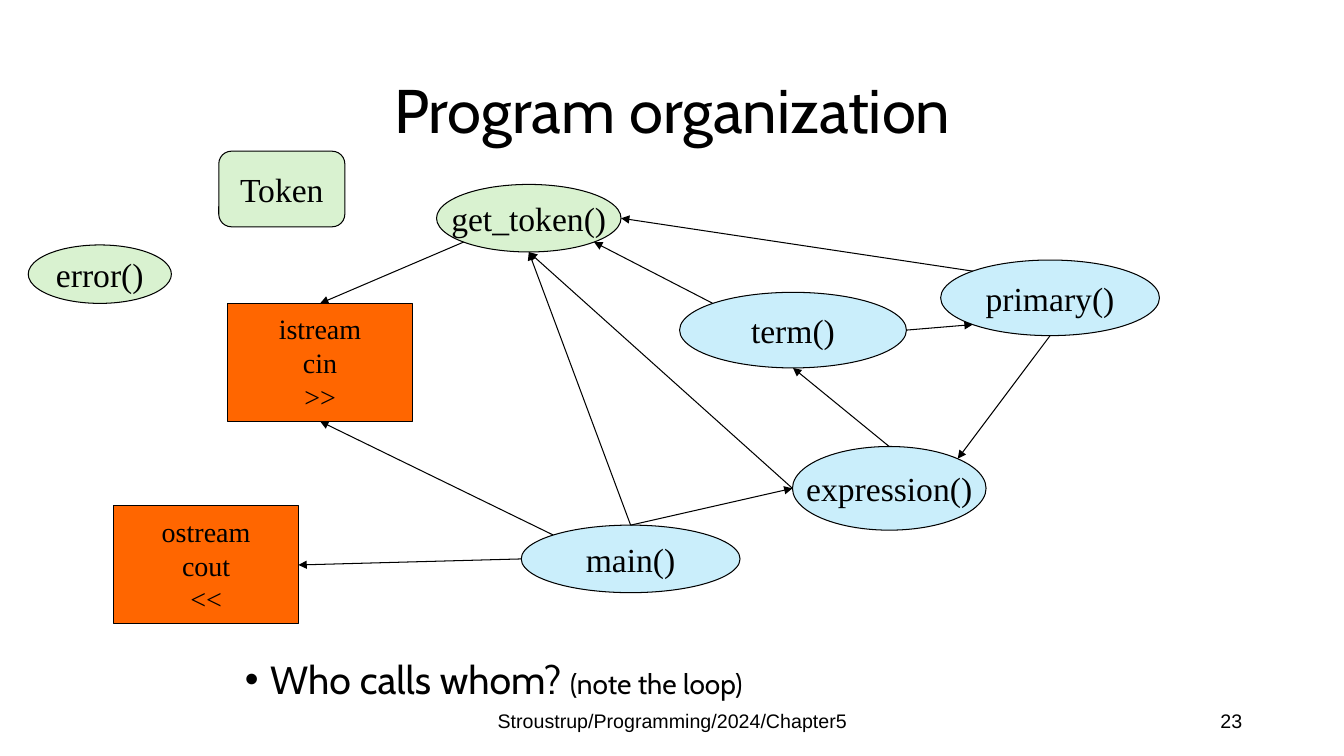
from lxml.etree import SubElement
from pptx import Presentation
from pptx.dml.color import RGBColor
from pptx.enum.shapes import MSO_CONNECTOR, MSO_SHAPE
from pptx.enum.text import MSO_ANCHOR, MSO_AUTO_SIZE, PP_ALIGN
from pptx.oxml.ns import qn
from pptx.util import Inches, Pt

BLACK, BLUE, GREEN, ORANGE = "000000", "CAEEFB", "D9F2D0", "FF6600"
OVAL, BOX, ROUNDED = MSO_SHAPE.OVAL, MSO_SHAPE.RECTANGLE, MSO_SHAPE.ROUNDED_RECTANGLE
DIAGONAL = 0.5 ** 0.5

NODES = {
    "primary": (OVAL, BLUE, 24, ["primary()"], (9.33, 2.58, 2.17, 0.75)),
    "expression": (OVAL, BLUE, 24, ["expression()"], (7.86, 4.43, 1.92, 0.83)),
    "term": (OVAL, BLUE, 24, ["term()"], (6.74, 2.9, 2.25, 0.75)),
    "main": (OVAL, BLUE, 24, ["main()"], (5.17, 5.21, 2.17, 0.67)),
    "istream": (BOX, ORANGE, 20, ["istream", "cin", ">>"], (2.26, 3.01, 1.83, 1.17)),
    "error": (OVAL, GREEN, 24, ["error()"], (0.28, 2.43, 1.42, 0.58)),
    "token": (ROUNDED, GREEN, 24, ["Token"], (2.17, 1.5, 1.25, 0.75)),
    "ostream": (BOX, ORANGE, 20, ["ostream", "cout", "<<"], (1.13, 5.02, 1.83, 1.17)),
    "get_token": (OVAL, GREEN, 24, ["get_token()"], (4.33, 1.83, 1.83, 0.67)),
}

SIDES = {
    "top": (0, -1), "bottom": (0, 1), "left": (-1, 0), "right": (1, 0),
    "top left": (-DIAGONAL, -DIAGONAL), "top right": (DIAGONAL, -DIAGONAL),
    "bottom left": (-DIAGONAL, DIAGONAL), "bottom right": (DIAGONAL, DIAGONAL),
}

CALLS = [
    ("main", "top", "expression", "left"),
    ("expression", "top", "term", "bottom"),
    ("term", "right", "primary", "bottom left"),
    ("primary", "bottom", "expression", "top right"),
    ("expression", "left", "get_token", "bottom"),
    ("primary", "top left", "get_token", "right"),
    ("term", "top left", "get_token", "bottom right"),
    ("get_token", "bottom left", "istream", "top"),
    ("main", "top", "get_token", "bottom"),
    ("main", "top left", "istream", "bottom"),
    ("main", "left", "ostream", "right"),
]


def color(hex_string):
    """Turn a hex string into a colour."""
    return RGBColor.from_string(hex_string)


def add_run(paragraph, text, size, font):
    """Append one black run to a paragraph."""
    run = paragraph.add_run()
    run.text = text
    run.font.size = Pt(size)
    run.font.name = font
    run.font.color.rgb = color(BLACK)


def place(shape, box):
    """Move a shape to a box given in inches."""
    shape.left, shape.top, shape.width, shape.height = map(Inches, box)


def fill_title(shape, box):
    """Write the slide title in its placeholder."""
    place(shape, box)
    frame = shape.text_frame
    frame.auto_size = MSO_AUTO_SIZE.NONE
    frame.vertical_anchor = MSO_ANCHOR.MIDDLE
    paragraph = frame.paragraphs[0]
    paragraph.alignment = PP_ALIGN.CENTER
    paragraph.line_spacing = 0.9
    add_run(paragraph, "Program organization", 44, "Cabin")


def fill_question(shape, box):
    """Write the bulleted question in the body placeholder."""
    place(shape, box)
    frame = shape.text_frame
    frame.auto_size = MSO_AUTO_SIZE.NONE
    frame.vertical_anchor = MSO_ANCHOR.TOP
    paragraph = frame.paragraphs[0]
    paragraph.line_spacing = 0.9
    paragraph.space_before = Pt(10)
    properties = paragraph._p.get_or_add_pPr()
    properties.set("marL", str(Inches(0.25)))
    properties.set("indent", str(Inches(-0.25)))
    SubElement(properties, qn("a:buFont")).set("typeface", "Arial")
    SubElement(properties, qn("a:buChar")).set("char", "•")
    add_run(paragraph, "Who calls whom? ", 28, "Cabin")
    add_run(paragraph, "(note the loop)", 20, "Cabin")


def add_footer(slide, text, alignment, box):
    """Add one footer text."""
    frame = slide.shapes.add_textbox(*map(Inches, box)).text_frame
    frame.word_wrap = True
    frame.vertical_anchor = MSO_ANCHOR.MIDDLE
    paragraph = frame.paragraphs[0]
    paragraph.alignment = alignment
    add_run(paragraph, text, 14, "Arial")


def add_node(slide, kind, fill, size, lines, box):
    """Add one labelled part of the program."""
    shape = slide.shapes.add_shape(kind, *map(Inches, box))
    shape.shadow.inherit = False
    shape.fill.solid()
    shape.fill.fore_color.rgb = color(fill)
    shape.line.color.rgb = color(BLACK)
    shape.line.width = Pt(0.75)
    frame = shape.text_frame
    frame.word_wrap = False
    frame.vertical_anchor = MSO_ANCHOR.MIDDLE
    for index, line in enumerate(lines):
        paragraph = frame.add_paragraph() if index else frame.paragraphs[0]
        paragraph.alignment = PP_ALIGN.CENTER
        add_run(paragraph, line, size, "Times New Roman")


def edge_point(name, side):
    """Find the point on a node's edge that faces a side."""
    left, top, width, height = NODES[name][-1]
    across, down = SIDES[side]
    return Inches(left + width * (1 + across) / 2), Inches(top + height * (1 + down) / 2)


def add_call(slide, caller, caller_side, called, called_side):
    """Draw an arrow from a caller to what it calls."""
    start, end = edge_point(caller, caller_side), edge_point(called, called_side)
    arrow = slide.shapes.add_connector(MSO_CONNECTOR.STRAIGHT, *start, *end)
    arrow.line.color.rgb = color(BLACK)
    arrow.line.width = Pt(0.75)
    SubElement(arrow.line._get_or_add_ln(), qn("a:tailEnd")).set("type", "triangle")
    SubElement(arrow._element.spPr, qn("a:effectLst"))


def add_diagram(slide):
    """Draw the parts of the program and the calls between them."""
    for node in NODES.values():
        add_node(slide, *node)
    for call in CALLS:
        add_call(slide, *call)


def main():
    """Build and save the slide."""
    presentation = Presentation()
    presentation.slide_width, presentation.slide_height = Inches(13.33), Inches(7.5)
    slide = presentation.slides.add_slide(presentation.slide_layouts[1])
    fill_title(slide.shapes.title, (0.92, 0.4, 11.5, 1.45))
    fill_question(slide.placeholders[1], (2.33, 6.5, 8.5, 0.75))
    add_footer(slide, "Stroustrup/Programming/2024/Chapter5", PP_ALIGN.CENTER, (4.42, 6.95, 4.5, 0.4))
    add_footer(slide, "23", PP_ALIGN.RIGHT, (9.42, 6.95, 3, 0.4))
    add_diagram(slide)
    presentation.save("out.pptx")


if __name__ == "__main__":
    main()
